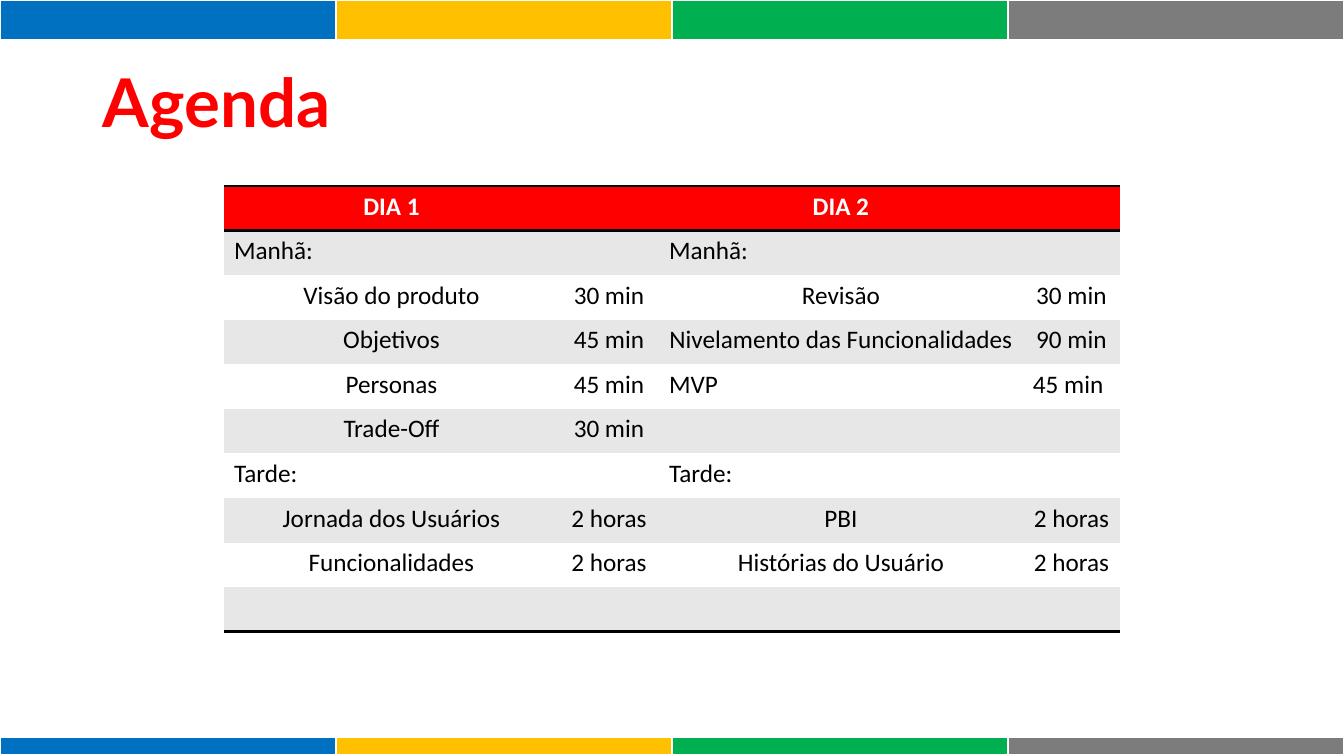
from lxml import etree
from pptx import Presentation
from pptx.dml.color import RGBColor
from pptx.enum.text import MSO_ANCHOR, PP_ALIGN
from pptx.oxml.ns import qn
from pptx.util import Emu, Pt

LEFT, CENTER = PP_ALIGN.LEFT, PP_ALIGN.CENTER
TOP = MSO_ANCHOR.TOP

PX_PER_INCH = 100.8
SLIDE_WIDTH, SLIDE_HEIGHT = 1344, 756

RED = RGBColor(0xFF, 0x00, 0x00)
BLACK = RGBColor(0x00, 0x00, 0x00)
WHITE = RGBColor(0xFF, 0xFF, 0xFF)
BAND_GRAY = RGBColor(0xE7, 0xE7, 0xE7)
STRIP_COLORS = [
    RGBColor(0x00, 0x70, 0xC0),
    RGBColor(0xFF, 0xC0, 0x00),
    RGBColor(0x00, 0xB0, 0x50),
    RGBColor(0x7C, 0x7C, 0x7C),
]

AGENDA_COLUMNS = [335, 100, 364, 97]
AGENDA = [
    ["DIA 1", "", "DIA 2", ""],
    ["Manhã:", "", "Manhã:", ""],
    ["Visão do produto", "30 min", "Revisão", "30 min"],
    ["Objetivos", "45 min", "Nivelamento das Funcionalidades", "90 min"],
    ["Personas", "45 min", "MVP", "45 min"],
    ["Trade-Off", "30 min", "", ""],
    ["Tarde:", "", "Tarde:", ""],
    ["Jornada dos Usuários", "2 horas", "PBI", "2 horas"],
    ["Funcionalidades", "2 horas", "Histórias do Usuário", "2 horas"],
    ["", "", "", ""],
]
LEFT_ALIGNED = {(1, 0), (1, 2), (4, 2), (4, 3), (6, 0), (6, 2)}


def px(length):
    return Emu(round(length * 914400 / PX_PER_INCH))


class SlideBuilder:
    title_font = "Lato"
    body_font = "Calibri"

    def __init__(self, slide):
        self.slide = slide

    def format_text(self, paragraph, font_name, size, color, bold):
        for run in paragraph.runs:
            run.font.name = font_name
            run.font.size = Pt(size)
            run.font.color.rgb = color
            run.font.bold = bold

    def title(self, text, left, top, width, height):
        text_frame = self.slide.shapes.add_textbox(
            px(left), px(top), px(width), px(height)).text_frame
        text_frame.word_wrap = True
        text_frame.vertical_anchor = TOP
        text_frame.text = text
        paragraph = text_frame.paragraphs[0]
        paragraph.line_spacing = 0.9
        self.format_text(paragraph, self.title_font, 48, RED, True)

    def table(self, row_count, column_widths, left, top, height):
        table = self.slide.shapes.add_table(
            row_count, len(column_widths), px(left), px(top),
            px(sum(column_widths)), px(height)).table
        table.first_row = False
        table.horz_banding = False
        for column, width in zip(table.columns, column_widths):
            column.width = px(width)
        return table

    def paint_cell(self, cell, fill, borders):
        """Fill a cell; borders maps L, R, T, B to (color, points), others stay invisible."""
        properties = cell._tc.get_or_add_tcPr()
        for side in "LRTB":
            line = etree.SubElement(properties, qn(f"a:ln{side}"))
            if side in borders:
                color, points = borders[side]
                line.set("w", str(Pt(points)))
                solid = etree.SubElement(line, qn("a:solidFill"))
                etree.SubElement(solid, qn("a:srgbClr"), val=str(color))
            else:
                etree.SubElement(line, qn("a:noFill"))
        cell.fill.solid()
        cell.fill.fore_color.rgb = fill

    def agenda(self, rows, left, top, height):
        table = self.table(len(rows), AGENDA_COLUMNS, left, top, height)
        rule = (BLACK, 2)
        for row, texts in enumerate(rows):
            is_header = row == 0
            fill = RED if is_header else BAND_GRAY if row % 2 else WHITE
            borders = {}
            if row in (0, 1):
                borders["T"] = rule
            if row in (0, len(rows) - 1):
                borders["B"] = rule
            for column, text in enumerate(texts):
                cell = table.cell(row, column)
                self.paint_cell(cell, fill, borders)
                cell.text_frame.text = text
                paragraph = cell.text_frame.paragraphs[0]
                paragraph.alignment = LEFT if (row, column) in LEFT_ALIGNED else CENTER
                self.format_text(paragraph, self.body_font, 18,
                                 WHITE if is_header else BLACK, is_header)

    def color_strip(self, top, height):
        width = SLIDE_WIDTH // len(STRIP_COLORS)
        table = self.table(1, [width] * len(STRIP_COLORS), 0, top, height)
        borders = {side: (WHITE, 1) for side in "LRT"} | {"B": (WHITE, 3)}
        for column, color in enumerate(STRIP_COLORS):
            cell = table.cell(0, column)
            self.paint_cell(cell, color, borders)
            cell.margin_top = cell.margin_bottom = 0
            # A tiny empty line keeps the row from growing
            etree.SubElement(cell.text_frame.paragraphs[0]._p,
                             qn("a:endParaRPr"), sz="400")


def main():
    presentation = Presentation()
    presentation.slide_width = px(SLIDE_WIDTH)
    presentation.slide_height = px(SLIDE_HEIGHT)
    blank_layout = presentation.slide_layouts[6]
    builder = SlideBuilder(presentation.slides.add_slide(blank_layout))

    builder.title("Agenda", 93, 64, 426, 93)
    builder.agenda(AGENDA, 224, 186, 446)
    builder.color_strip(0, 41)
    builder.color_strip(737, 19)

    presentation.save("out.pptx")


if __name__ == "__main__":
    main()
